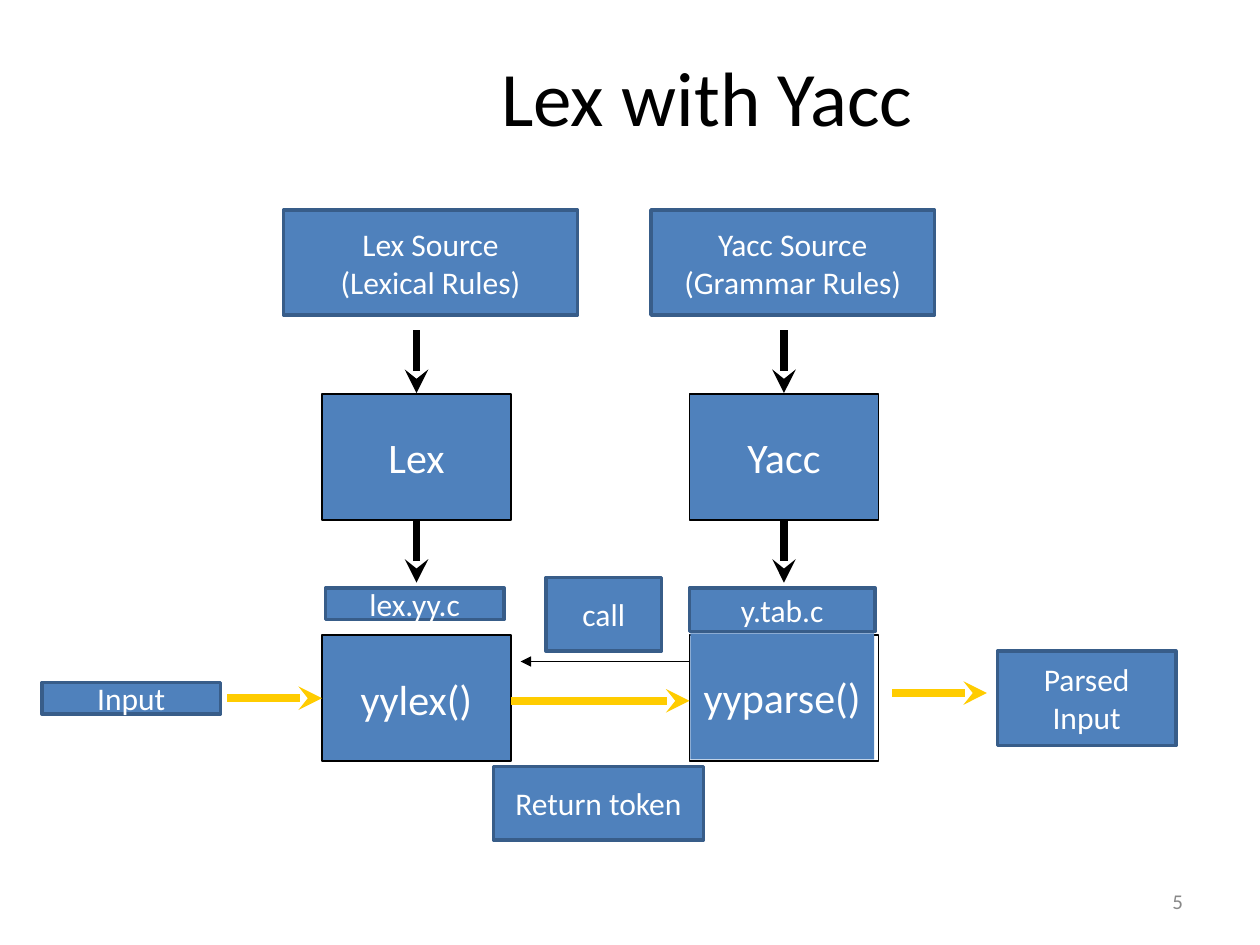
import pptx
import pptx.util
import pptx.dml.color
import pptx.enum.shapes
import pptx.enum.text
import pptx.oxml.ns
import lxml.etree

Pt = pptx.util.Pt
PP = pptx.enum.text.PP_ALIGN
ANCHOR = pptx.enum.text.MSO_ANCHOR
FONT = "Calibri"
COLORS = {
    "fill": "4F81BC", "border": "385D89", "black": "000000",
    "white": "FFFFFF", "yellow": "FFCC00", "gray": "888888",
}


def rgb(name):
    return pptx.dml.color.RGBColor.from_string(COLORS[name])


def set_text(sp, text, size, color, align, anchor, top=0):
    tf = sp.text_frame
    tf.text = text
    tf.word_wrap = True
    tf.auto_size = pptx.enum.text.MSO_AUTO_SIZE.NONE
    tf.vertical_anchor = anchor
    tf.margin_left = tf.margin_right = tf.margin_bottom = 0
    tf.margin_top = Pt(top)
    for p in tf.paragraphs:
        p.alignment = align
        for r in p.runs:
            r.font.name = FONT
            r.font.size = Pt(size)
            r.font.color.rgb = rgb(color)


def add_box(s, x, y, w, h, text="", size=18, fill="fill", line="border", weight=2.04):
    sp = s.shapes.add_shape(pptx.enum.shapes.MSO_SHAPE.RECTANGLE,
                            Pt(x), Pt(y), Pt(w), Pt(h))
    sp.shadow.inherit = False
    if fill:
        sp.fill.solid()
        sp.fill.fore_color.rgb = rgb(fill)
    else:
        sp.fill.background()
    if line:
        sp.line.color.rgb = rgb(line)
        sp.line.width = Pt(weight)
    else:
        sp.line.fill.background()
    if text:
        set_text(sp, text, size, "white", PP.CENTER, ANCHOR.MIDDLE)
    return sp


def add_arrow(s, x1, y1, x2, y2, color, weight=4.5, head="stealth"):
    c = s.shapes.add_connector(pptx.enum.shapes.MSO_CONNECTOR.STRAIGHT,
                               Pt(x1), Pt(y1), Pt(x2), Pt(y2))
    c.line.color.rgb = rgb(color)
    c.line.width = Pt(weight)
    qn = pptx.oxml.ns.qn
    lxml.etree.SubElement(c.line._get_or_add_ln(), qn("a:tailEnd"),
                          type=head, w="med", len="med")
    lxml.etree.SubElement(c._element.spPr, qn("a:effectLst"))


def add_title(s, x, y, w, h, text):
    sp = s.shapes.title
    sp.left, sp.top, sp.width, sp.height = Pt(x), Pt(y), Pt(w), Pt(h)
    set_text(sp, text, 44, "black", PP.LEFT, ANCHOR.TOP, top=2)


def add_page_number(s, x, y, w, h, text):
    sp = s.shapes.add_textbox(Pt(x), Pt(y), Pt(w), Pt(h))
    set_text(sp, text, 12, "gray", PP.LEFT, ANCHOR.TOP, top=2)


def add_generator(s, x, y, w, source, source_dx, source_w, tool):
    """Source file, generator tool and the arrows between the stages."""
    add_box(s, x + source_dx, y, source_w, 60, source)
    add_box(s, x, y + 105, w, 72, tool, 24, line="black", weight=0.96)
    for start in (68.6, 177):
        add_arrow(s, x + w / 2, y + start, x + w / 2, y + start + 36, "black")


def add_runtime(s, x, y, w, gap):
    """Generated functions, their files and the data flow around them."""
    parse_x = x + w + gap
    add_box(s, x, y, w, 72, "yylex()", 24, line="black", weight=0.96)
    add_box(s, parse_x, y, w, 72, fill=None, line="black", weight=0.96)
    add_box(s, parse_x + 0.5, y - 1, w - 3, 72, "yyparse()", 24, line=None)

    # Data flow and call
    add_arrow(s, x - 54, y + 36, x, y + 36, "yellow")
    add_arrow(s, x + w, y + 37.5, parse_x, y + 37.5, "yellow")
    add_arrow(s, parse_x + w + 8, y + 33, parse_x + w + 62, y + 33, "yellow")
    add_arrow(s, parse_x, y + 15, x + w + 5.5, y + 15, "black", 0.96, "triangle")

    # Generated files and labels
    for dx, dy, bw, bh, text in (
        (2, -27, 102, 18, "lex.yy.c"),
        (w + gap, -27, 106, 25, "y.tab.c"),
        (w + 20, -33, 66, 42, "call"),
        (386, 9, 102, 54, "Parsed\nInput"),
        (-160, 27, 102, 18, "Input"),
        (98, 75, 120, 42, "Return token"),
    ):
        add_box(s, x + dx, y + dy, bw, bh, text)


prs = pptx.Presentation()
prs.slide_width, prs.slide_height = Pt(720), Pt(540)
s = prs.slides.add_slide(prs.slide_layouts[5])

add_title(s, 286.5, 26, 237, 55, "Lex with Yacc")
add_generator(s, 184, 120, 108, "Lex Source\n(Lexical Rules)", -22, 168, "Lex")
add_generator(s, 394, 120, 108, "Yacc Source\n(Grammar Rules)", -22, 162, "Yacc")
add_runtime(s, 184, 363, 108, 102)
add_page_number(s, 670, 506, 8, 17, "5")

prs.save("out.pptx")
